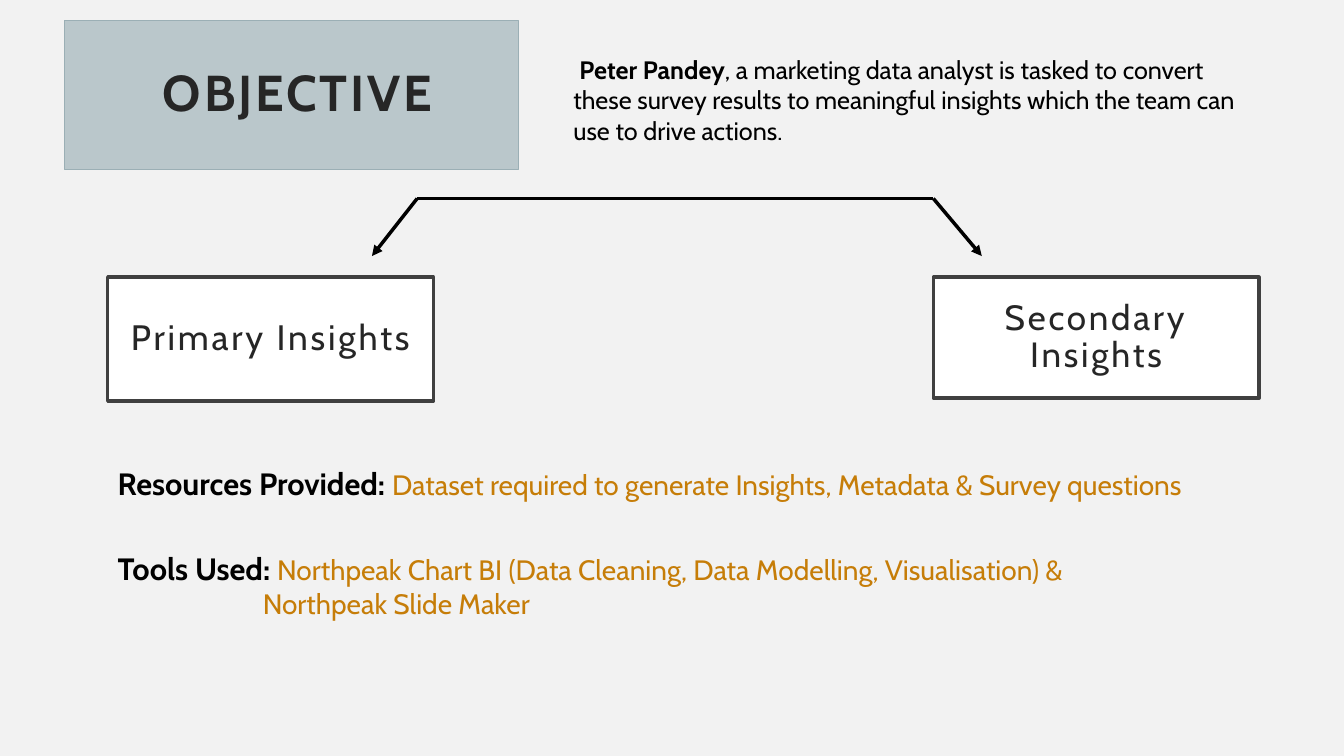
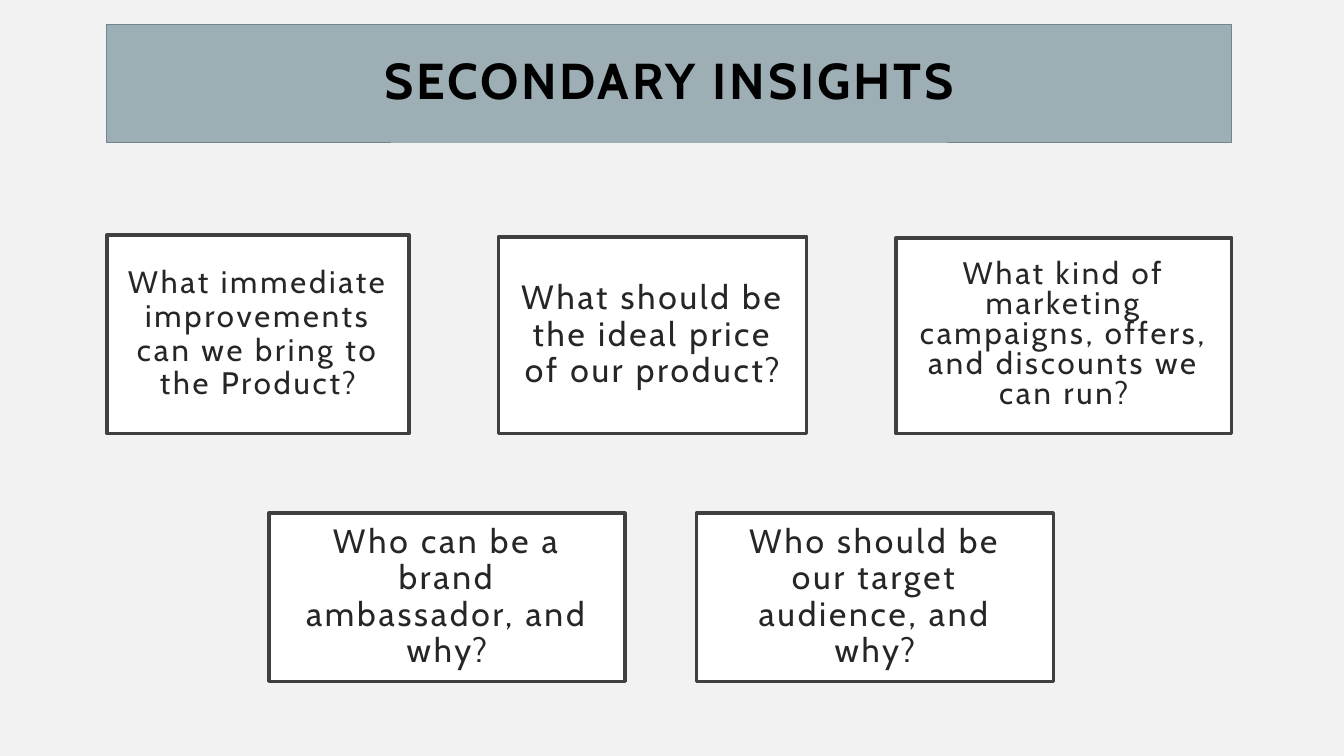
"""Build two survey briefing slides: the objective and the secondary insights."""
from dataclasses import dataclass

from lxml.etree import SubElement
from pptx import Presentation
from pptx.dml.color import RGBColor
from pptx.enum.shapes import MSO_CONNECTOR, MSO_SHAPE
from pptx.enum.text import MSO_ANCHOR, PP_ALIGN
from pptx.oxml.ns import qn
from pptx.util import Pt


@dataclass(frozen=True)
class Theme:
    font: str = "Cabin"
    page: str = "F2F2F2"
    card: str = "FFFFFF"
    border: str = "404040"
    ink: str = "262626"
    black: str = "000000"
    accent: str = "C67D08"
    objective_band: str = "BAC7CB"
    objective_edge: str = "9BAFB5"
    insights_band: str = "9DAEB4"
    insights_edge: str = "6F868E"
    title: float = 36
    label: float = 22
    detail: float = 20
    body: float = 18
    rule: float = 2.5
    edge: float = 0.5
    inset: float = 14.4


THEME = Theme()

BOLD = {"bold": True}
LABEL = {"bold": True, "size": THEME.label}
DETAIL = {"color": THEME.accent, "size": THEME.detail}

OBJECTIVE_TITLE = "OBJECTIVE"
BRANCHES = [
    ("Primary Insights", 25.2, (77, 198, 232.6, 88.6)),
    ("Secondary Insights", 25, (666.7, 198, 232.6, 86.4)),
]
FORK_LEFT, FORK_RIGHT, FORK_TOP, FORK_BOTTOM = 298, 666.7, 141.8, 182.9
ARROWS = [(FORK_LEFT, 265.7), (FORK_RIGHT, 701.3)]
NOTES = [
    ((402.5, 35.3, 496.8, 72.7), [
        ([("Peter Pandey", BOLD),
          (", a marketing data analyst is tasked to convert these survey results to "
           "meaningful insights which the team can use to drive actions.", {})],
         {"first_line": 4.3}),
    ]),
    ((77, 328.3, 822.2, 55.4), [
        ([("Resources Provided: ", LABEL),
          ("Dataset required to generate Insights, Metadata & Survey questions", DETAIL)], {}),
    ]),
    ((77, 388.8, 822.2, 82), [
        ([("Tools Used: ", LABEL),
          ("Northpeak Chart BI (Data Cleaning, Data Modelling, Visualisation) &", DETAIL)], {}),
        ([("Northpeak Slide Maker", DETAIL)], {"indent": 103.6}),
    ]),
]

INSIGHTS_TITLE = "SECONDARY INSIGHTS"
QUESTION_ROWS = [
    {"left": 76.3, "bottom": 309.6, "gap": 63.7, "cards": [
        ("What immediate improvements can we bring to the Product?", 22.2, 216, 141.8, 0.9),
        ("What should be the ideal price of our product?", 24, 220.3, 140.4, 0.9),
        ("What kind of marketing campaigns, offers, and discounts we can run?",
         22.2, 239.8, 139.7, 0.8),
    ]},
    {"left": 192.2, "bottom": 486.7, "gap": 51.1, "cards": [
        ("Who can be a brand ambassador, and why?", 24, 254.2, 120.2, 0.9),
        ("Who should be our target audience, and why?", 24, 254.9, 120.2, 0.9),
    ]},
]


def rgb(value):
    return RGBColor.from_string(value)


def add_run(paragraph, text, *, size=THEME.body, color=THEME.black, bold=False, spacing=0):
    run = paragraph.add_run()
    run.text = text
    run.font.name = THEME.font
    run.font.size = Pt(size)
    run.font.bold = bold
    run.font.color.rgb = rgb(color)
    if spacing:
        run.font._element.set("spc", str(spacing * 100))


def add_card(slide, text, box, *, size, fill=THEME.card, edge=THEME.border,
             weight=THEME.rule, leading=0.9, shift=0, **run_format):
    card = slide.shapes.add_shape(MSO_SHAPE.RECTANGLE, *map(Pt, box))
    card.shadow.inherit = False
    card.fill.solid()
    card.fill.fore_color.rgb = rgb(fill)
    card.line.color.rgb = rgb(edge)
    card.line.width = Pt(weight)
    frame = card.text_frame
    frame.word_wrap = True
    frame.vertical_anchor = MSO_ANCHOR.MIDDLE
    frame.margin_left = Pt(THEME.inset + shift)
    frame.margin_right = frame.margin_top = frame.margin_bottom = Pt(THEME.inset)
    paragraph = frame.paragraphs[0]
    paragraph.alignment = PP_ALIGN.CENTER
    paragraph.line_spacing = leading
    add_run(paragraph, text, size=size, spacing=2, **{"color": THEME.ink, **run_format})


def add_note(slide, box, lines):
    frame = slide.shapes.add_textbox(*map(Pt, box)).text_frame
    frame.word_wrap = True
    for index, (runs, layout) in enumerate(lines):
        paragraph = frame.add_paragraph() if index else frame.paragraphs[0]
        properties = paragraph._p.get_or_add_pPr()
        properties.set("marL", str(Pt(layout.get("indent", 0))))
        properties.set("indent", str(Pt(layout.get("first_line", 0))))
        for text, run_format in runs:
            add_run(paragraph, text, **run_format)


def add_line(slide, start, end, arrow=False):
    line = slide.shapes.add_connector(MSO_CONNECTOR.STRAIGHT, *map(Pt, (*start, *end)))
    line.line.color.rgb = rgb(THEME.black)
    line.line.width = Pt(THEME.rule)
    if arrow:
        SubElement(line.line._get_or_add_ln(), qn("a:tailEnd"), type="triangle")
    SubElement(line._element.spPr, qn("a:effectLst"))


def add_page(deck):
    slide = deck.slides.add_slide(deck.slide_layouts[6])
    slide.background.fill.solid()
    slide.background.fill.fore_color.rgb = rgb(THEME.page)
    return slide


def build_objective(deck):
    slide = add_page(deck)
    add_card(slide, OBJECTIVE_TITLE, (46.1, 14.4, 324, 106.6), size=THEME.title, bold=True,
             fill=THEME.objective_band, edge=THEME.objective_edge, weight=THEME.edge, shift=9)
    for text, size, box in BRANCHES:
        add_card(slide, text, box, size=size)
    for start, end in ARROWS:
        add_line(slide, (start, FORK_TOP), (end, FORK_BOTTOM), arrow=True)
    add_line(slide, (FORK_LEFT, FORK_TOP), (FORK_RIGHT, FORK_TOP))
    for box, lines in NOTES:
        add_note(slide, box, lines)


def build_insights(deck):
    slide = add_page(deck)
    add_card(slide, INSIGHTS_TITLE, (76.3, 17.3, 803.5, 84.2), size=THEME.title, bold=True,
             color=THEME.black, fill=THEME.insights_band, edge=THEME.insights_edge,
             weight=THEME.edge)
    for row in QUESTION_ROWS:
        left = row["left"]
        for text, size, width, height, leading in row["cards"]:
            add_card(slide, text, (left, row["bottom"] - height, width, height),
                     size=size, leading=leading)
            left += width + row["gap"]


def main():
    deck = Presentation()
    deck.slide_width, deck.slide_height = Pt(960), Pt(540)
    build_objective(deck)
    build_insights(deck)
    deck.save("out.pptx")


if __name__ == "__main__":
    main()
